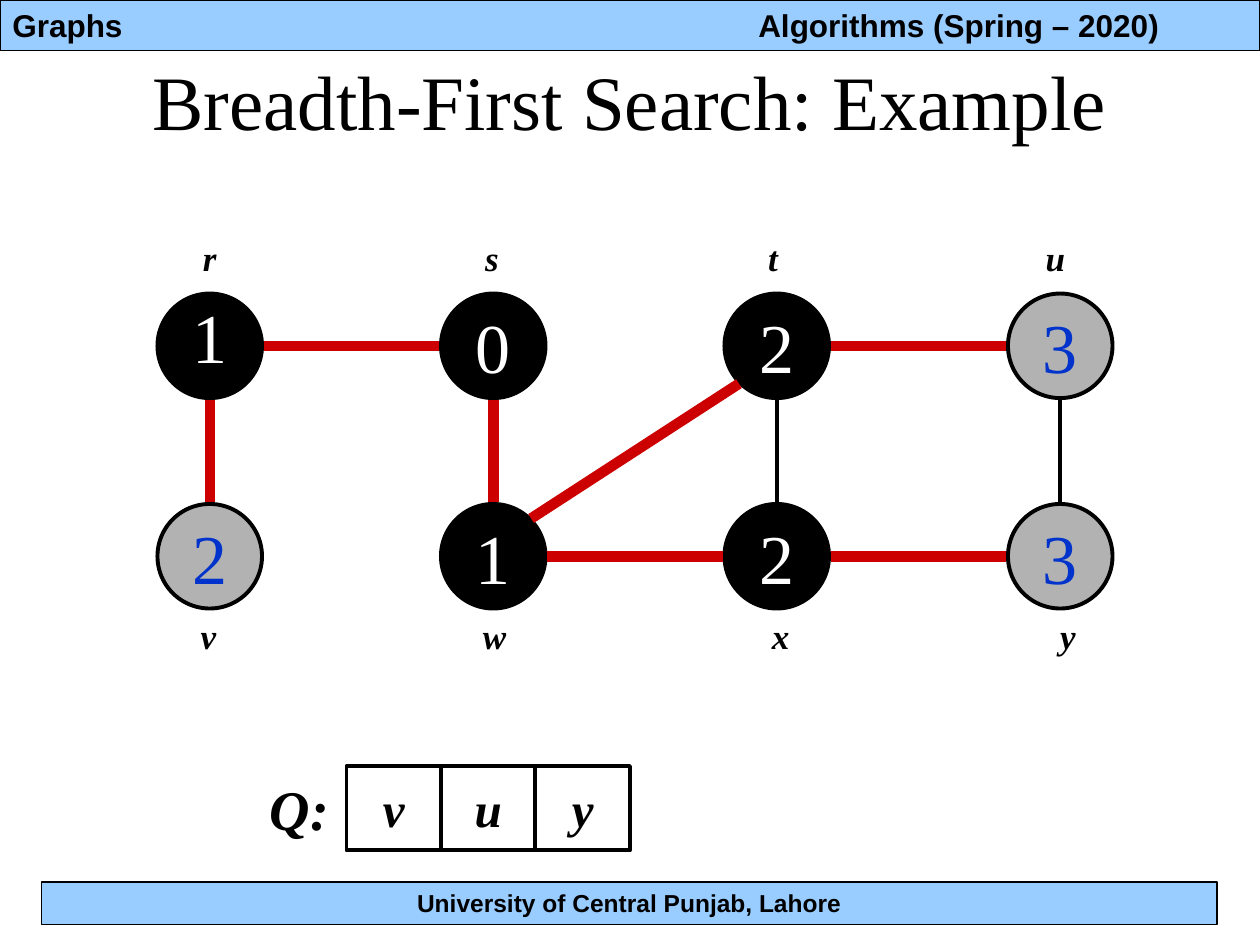
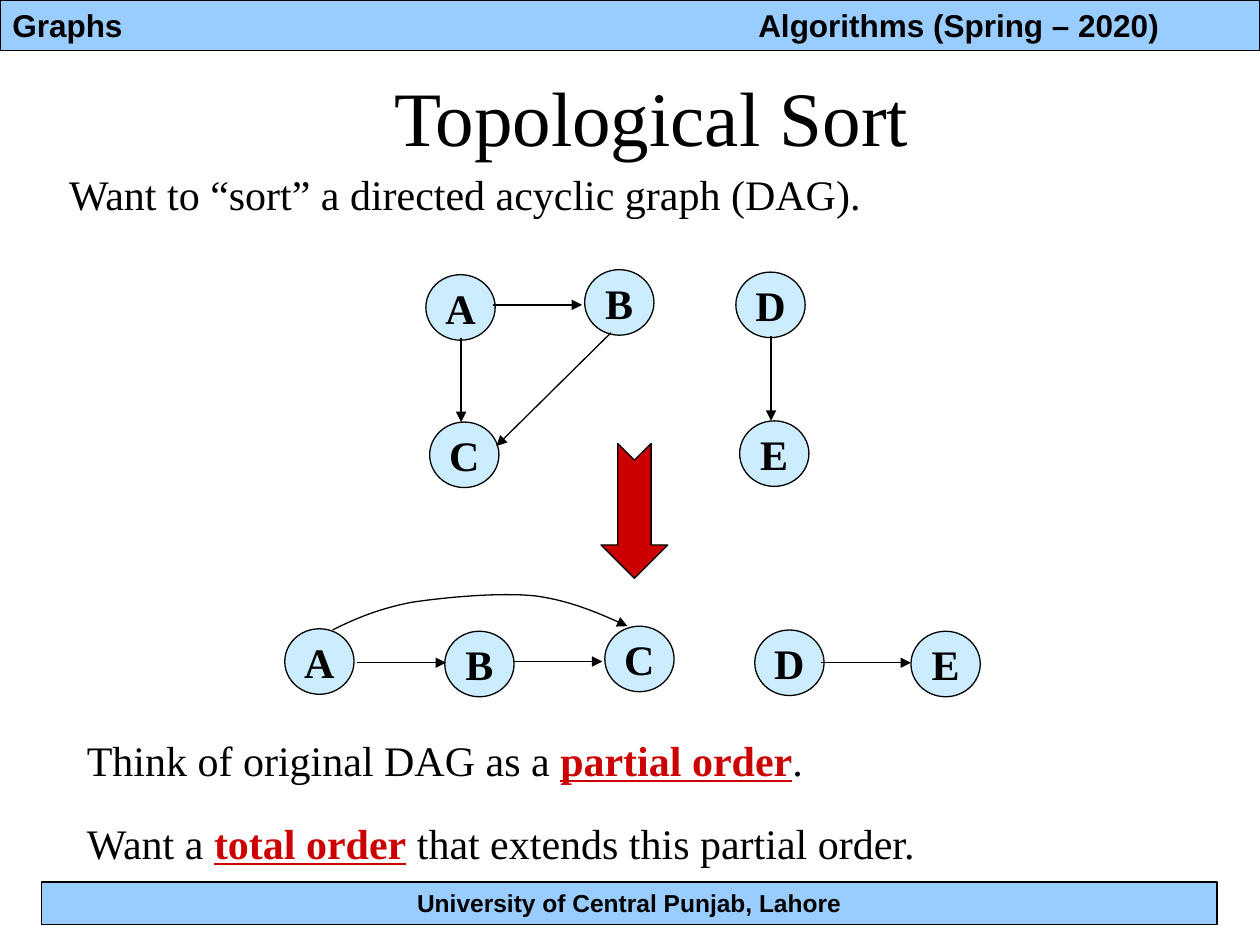
from lxml import etree
from pptx import Presentation
from pptx.dml.color import RGBColor
from pptx.enum.shapes import MSO_CONNECTOR as Connector, MSO_SHAPE as Preset
from pptx.enum.text import MSO_ANCHOR as Anchor, PP_ALIGN as Align
from pptx.oxml.ns import qn
from pptx.util import Inches, Pt

BLACK = RGBColor(0x00, 0x00, 0x00)
WHITE = RGBColor(0xFF, 0xFF, 0xFF)
BAND = RGBColor(0x99, 0xCC, 0xFF)
GREY = RGBColor(0xB2, 0xB2, 0xB2)
BLUE = RGBColor(0x00, 0x33, 0xCC)
RED = RGBColor(0xCC, 0x00, 0x00)
PALE = RGBColor(0xCC, 0xEC, 0xFF)
SERIF, SANS = "Times New Roman", "Arial"

RADIUS = 0.43
DIAGONAL = 0.3
SIDES = {"n": (0, -RADIUS), "s": (0, RADIUS), "e": (RADIUS, 0), "w": (-RADIUS, 0),
         "ne": (DIAGONAL, -DIAGONAL), "sw": (-DIAGONAL, DIAGONAL)}


def write(shape, text, size=24, font=SERIF, color=BLACK, bold=False, italic=False,
          align=Align.CENTER, anchor=Anchor.MIDDLE, wrap=False, spacing=None, gap=0):
    """Fill a shape with paragraphs; a paragraph is a string or a list of plain and *key* runs."""
    frame = shape.text_frame
    frame.word_wrap = wrap
    frame.vertical_anchor = anchor
    paragraphs = [[text]] if isinstance(text, str) else text
    for index, pieces in enumerate(paragraphs):
        paragraph = frame.paragraphs[0] if index == 0 else frame.add_paragraph()
        paragraph.alignment = align
        if spacing:
            paragraph.line_spacing = spacing
        if index:
            paragraph.space_before = Pt(gap)
        for piece in pieces:
            key = piece.startswith("*")
            run = paragraph.add_run()
            run.text = piece.strip("*")
            run.font.size = Pt(size)
            run.font.name = font
            run.font.bold = bold or key
            run.font.italic = italic
            run.font.underline = key
            run.font.color.rgb = RED if key else color


def label(slide, box, text, **style):
    """Add a text box."""
    write(slide.shapes.add_textbox(*map(Inches, box)), text, **style)


def figure(slide, preset, box, fill=None, weight=0.75):
    """Add an outlined preset shape."""
    shape = slide.shapes.add_shape(preset, *map(Inches, box))
    outline(shape, fill, weight)
    return shape


def outline(shape, fill, weight):
    """Give a shape its fill and a black line, without shadow."""
    shape.shadow.inherit = False
    if fill is None:
        shape.fill.background()
    else:
        shape.fill.solid()
        shape.fill.fore_color.rgb = fill
    shape.line.color.rgb = BLACK
    shape.line.width = Pt(weight)


def add_arrowhead(shape):
    """End the line of a shape with a triangle."""
    etree.SubElement(shape.element.spPr.find(qn("a:ln")), qn("a:tailEnd"), type="triangle")


def edge(slide, start, end, color=BLACK, weight=0.75, arrow=False):
    """Draw a straight edge between two points."""
    line = slide.shapes.add_connector(Connector.STRAIGHT, *map(Inches, (*start, *end)))
    line.line.color.rgb = color
    line.line.width = Pt(weight)
    if arrow:
        add_arrowhead(line)
    etree.SubElement(line.element.spPr, qn("a:effectLst"))


def start_slide(deck, title, title_box):
    """Add a slide with the course bands and its title."""
    slide = deck.slides.add_slide(deck.slide_layouts[6])
    header = figure(slide, Preset.RECTANGLE, (0, 0, 10, 0.4), BAND)
    heading = dict(size=18, font=SANS, bold=True, align=Align.LEFT, anchor=Anchor.TOP, wrap=True)
    write(header, "Graphs", **heading)
    footer = figure(slide, Preset.RECTANGLE, (0.33, 7, 9.33, 0.34), BAND)
    write(footer, "University of Central Punjab, Lahore", size=14, font=SANS, bold=True,
          anchor=Anchor.TOP, wrap=True)
    label(slide, (5.92, 0, 4, 0.4), "Algorithms (Spring – 2020)", **heading)
    label(slide, title_box, title, size=44, wrap=True)
    return slide


def search_graph(slide, left, top):
    """Draw the breadth-first search grid with distances and tree edges."""
    diameter, column_step, row_step = 0.83, 2.25, 1.67
    rows = [[("r", 1, True, 0), ("s", 0, True, -0.01),
             ("t", 2, True, -0.03), ("u", 3, False, -0.04)],
            [("v", 2, False, -0.01), ("w", 1, True, 0.01),
             ("x", 2, True, 0.03), ("y", 3, False, 0.06)]]
    centers = {}
    for row, vertices in enumerate(rows):
        for column, (name, distance, finished, shift) in enumerate(vertices):
            x, y = left + column * column_step, top + row * row_step
            centers[name] = x + diameter / 2, y + diameter / 2
            vertex = figure(slide, Preset.OVAL, (x, y, diameter, diameter),
                            BLACK if finished else GREY, 2.25)
            write(vertex, str(distance), size=40, color=WHITE if finished else BLUE,
                  spacing=0.7 if name == "r" else None)
            label_top = y + diameter if row else y - 0.5
            label(slide, (centers[name][0] + shift - 0.2, label_top, 0.4, 0.44), name,
                  size=20, bold=True, italic=True, anchor=Anchor.TOP)

    def site(name, side):
        return tuple(c + d for c, d in zip(centers[name], SIDES[side]))

    tree = ["v n r s", "r e s w", "s s w n", "w ne t sw", "w e x w", "t e u w", "x e y w"]
    for link in tree + ["x n t s", "y n u s"]:
        tail, tail_side, head, head_side = link.split()
        color, weight = (RED, 6) if link in tree else (BLACK, 2.25)
        edge(slide, site(tail, tail_side), site(head, head_side), color, weight)


def queue(slide, left, top, vertices):
    """Draw the queue as a row of equal cells after its name."""
    width, height = 0.75, 0.67
    label(slide, (left, top, width, height), "Q:", size=32, bold=True, italic=True)
    for place, name in enumerate(vertices, 1):
        cell = figure(slide, Preset.RECTANGLE, (left + place * width, top, width, height),
                      weight=2.25)
        write(cell, name, size=28, bold=True, italic=True)


def dag(slide, left, top, nodes, arrows):
    """Draw lettered nodes and arrows placed relative to a corner."""
    for name, (x, y) in nodes.items():
        node = figure(slide, Preset.OVAL, (left + x, top + y, 0.55, 0.52), PALE)
        write(node, name, bold=True)
    for x1, y1, x2, y2 in arrows:
        edge(slide, (left + x1, top + y1), (left + x2, top + y2), arrow=True)


def curved_arrow(slide, left, top, start, curves, steps=16):
    """Draw an arrow along joined cubic curves relative to a corner."""
    points, knot = [], start
    for first, second, end in curves:
        for step in range(1, steps + 1):
            t = step / steps
            weights = (1 - t) ** 3, 3 * t * (1 - t) ** 2, 3 * t ** 2 * (1 - t), t ** 3
            points.append(tuple(
                Inches(corner + sum(w * p[axis] for w, p in zip(weights, (knot, first, second, end))))
                for axis, corner in enumerate((left, top))))
        knot = end
    builder = slide.shapes.build_freeform(Inches(left + start[0]), Inches(top + start[1]))
    builder.add_line_segments(points, close=False)
    arc = builder.convert_to_shape()
    outline(arc, None, 0.75)
    add_arrowhead(arc)


def search_slide(deck):
    """Build the breadth-first search slide."""
    slide = start_slide(deck, "Breadth-First Search: Example", (0.5, 0.25, 9, 1.08))
    search_graph(slide, 1.25, 2.33)
    queue(slide, 2, 6.08, "vuy")


def sort_slide(deck):
    """Build the topological sort slide."""
    slide = start_slide(deck, "Topological Sort", (0.67, 0.17, 9, 1.5))
    prose = dict(align=Align.LEFT, anchor=Anchor.TOP)
    label(slide, (0.45, 1.29, 6.51, 0.5), "Want to “sort” a directed acyclic graph (DAG).", **prose)
    dag(slide, 3.38, 2.14,
        {"A": (0, 0.04), "B": (1.26, 0), "C": (0.03, 1.21), "D": (2.46, 0.02), "E": (2.49, 1.2)},
        [(0.28, 0.54, 0.28, 1.21), (0.53, 0.28, 1.24, 0.28),
         (1.47, 0.5, 0.56, 1.4), (2.74, 0.53, 2.74, 1.2)])
    down_arrow = figure(slide, Preset.NOTCHED_RIGHT_ARROW, (4.5, 3.79, 1.07, 0.53), RED)
    down_arrow.rotation = 90
    order_left, order_top = 2.26, 4.97
    dag(slide, order_left, order_top,
        {"A": (0, 0.02), "B": (1.27, 0.04), "C": (2.54, 0), "D": (3.73, 0.03), "E": (4.97, 0.04)},
        [(0.57, 0.29, 1.28, 0.29), (1.81, 0.28, 2.52, 0.28), (4.26, 0.29, 4.97, 0.29)])
    curved_arrow(slide, order_left, order_top, (0.38, 0.03),
                 [((0.56, -0.06), (0.75, -0.14), (1.01, -0.19)),
                  ((1.28, -0.23), (1.71, -0.27), (1.99, -0.24)),
                  ((2.28, -0.2), (2.5, -0.1), (2.72, 0))])
    label(slide, (0.59, 5.78, 6.82, 1.17),
          [["Think of original DAG as a ", "*partial order*", "."],
           ["Want a ", "*total order*", " that extends this partial order."]], gap=18.4, **prose)


def main():
    """Build and save the deck."""
    deck = Presentation()
    deck.slide_width, deck.slide_height = Inches(10), Inches(7.5)
    search_slide(deck)
    sort_slide(deck)
    deck.save("out.pptx")


if __name__ == "__main__":
    main()
